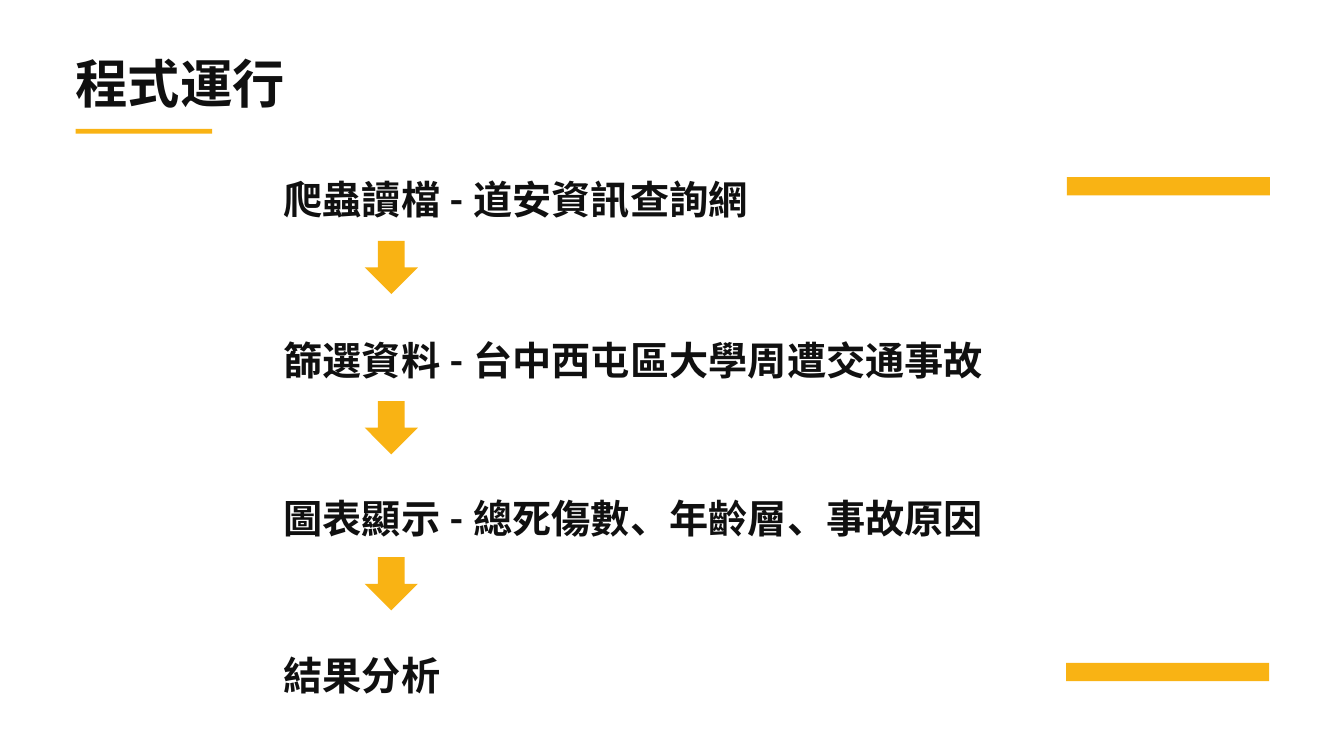
from pptx import Presentation
from pptx.dml.color import RGBColor
from pptx.enum.shapes import MSO_SHAPE
from pptx.enum.text import MSO_ANCHOR, MSO_AUTO_SIZE, PP_ALIGN
from pptx.util import Emu, Pt

PX = 9525  # EMU per px, on a slide of 1920 x 1080 px
COLORS = {"ink": "101010", "accent": "F9B314"}
FONT = "Lato"


def px(*lengths):
    return [Emu(n * PX) for n in lengths]


class Deck:
    """Holds the style and the current slide."""

    def __init__(self):
        self.prs = Presentation()
        self.prs.slide_width, self.prs.slide_height = px(1920, 1080)
        self.s = None

    def add_slide(self):
        self.s = self.prs.slides.add_slide(self.prs.slide_layouts[5])

    def color(self, name):
        return RGBColor.from_string(COLORS[name])

    def set_text(self, sp, text, size, leading):
        tf = sp.text_frame
        tf.margin_left = tf.margin_top = tf.margin_right = tf.margin_bottom = 0
        tf.word_wrap = True
        tf.auto_size = MSO_AUTO_SIZE.SHAPE_TO_FIT_TEXT
        tf.vertical_anchor = MSO_ANCHOR.TOP
        p = tf.paragraphs[0]
        p.text = text
        p.alignment = PP_ALIGN.LEFT
        p.line_spacing = Pt(leading)
        p.font.name = FONT
        p.font.size = Pt(size)
        p.font.bold = True
        p.font.color.rgb = self.color("ink")

    def title(self, text, x, y, w, h):
        sp = self.s.shapes.title
        sp.left, sp.top, sp.width, sp.height = px(x, y, w, h)
        self.set_text(sp, text, 56, 78.4)

    def label(self, text, x, y, w, h, leading):
        sp = self.s.shapes.add_textbox(*px(x, y, w, h))
        self.set_text(sp, text, 42, leading)

    def shape(self, kind, x, y, w, h):
        sp = self.s.shapes.add_shape(kind, *px(x, y, w, h))
        sp.shadow.inherit = False
        sp.fill.solid()
        sp.fill.fore_color.rgb = self.color("accent")
        sp.line.fill.background()

    def bar(self, x, y, w, h):
        self.shape(MSO_SHAPE.RECTANGLE, x, y, w, h)

    def down_arrow(self, x, y, size):
        self.shape(MSO_SHAPE.DOWN_ARROW, x, y, size, size)


def main():
    deck = Deck()
    deck.add_slide()

    deck.title("程式運行", 108, 58, 367, 96)
    deck.bar(108, 184, 195, 7)
    deck.bar(1523, 947, 290, 26)
    deck.bar(1524, 253, 290, 26)

    # Text, top, width, height and line spacing of each step
    steps = [
        ("爬蟲讀檔 - 道安資訊查詢網", 221, 864, 84, 72.8),
        ("篩選資料 - 台中西屯區大學周遭交通事故", 450, 1275, 87, 72.8),
        ("圖表顯示 - 總死傷數、年齡層、事故原因", 678, 1275, 86, 71.7),
        ("結果分析", 901, 309, 84, 72.8),
    ]
    for text, y, w, h, leading in steps:
        deck.label(text, 405, y, w, h, leading)

    for y in (344, 573, 796):
        deck.down_arrow(521, y, 76)

    deck.prs.save("out.pptx")


if __name__ == "__main__":
    main()
